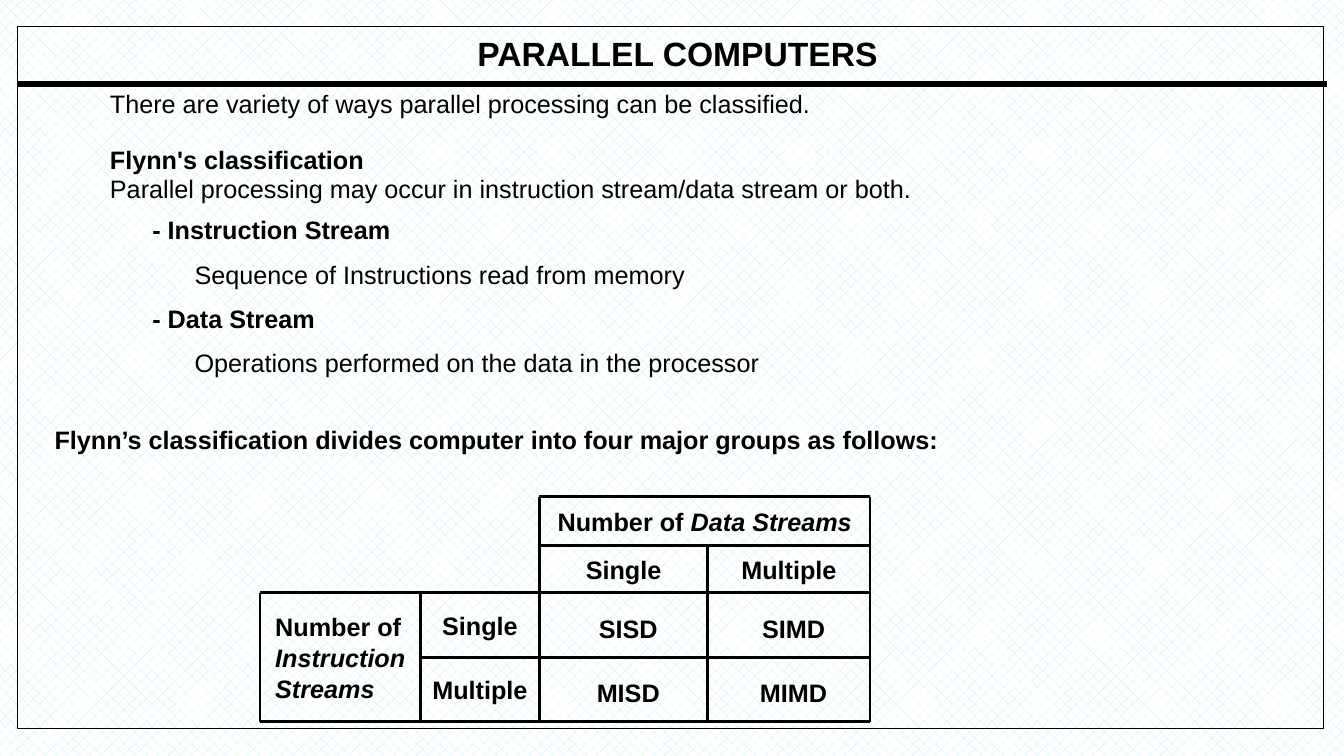
"""Builds the slide on Flynn's classification of parallel computers."""
from lxml import etree
from pptx import Presentation
from pptx import util as u
from pptx.dml.color import RGBColor
from pptx.enum import dml, shapes, text
from pptx.oxml import ns

COLORS = {"ink": "000000", "hatch": "C4EFFE", "paper": "FFFFFF"}
FONT = "Arial"


def write(paragraph, content, size=18, bold=True, italic=False):
    """Append a formatted run to a paragraph."""
    run = paragraph.add_run()
    run.text = content
    font = run.font
    font.name, font.size, font.bold, font.italic = FONT, u.Pt(size), bold, italic
    font.color.rgb = RGBColor.from_string(COLORS["ink"])


class Board:
    """Current slide with a grid of 100 columns by 100 rows."""

    def __init__(self, deck):
        self.width, self.height = deck.slide_width, deck.slide_height
        self.slide = deck.slides.add_slide(deck.slide_layouts[1])
        fill = self.slide.background.fill
        fill.patterned()
        fill.pattern = dml.MSO_PATTERN.PERCENT_25
        fill.fore_color.rgb = RGBColor.from_string(COLORS["hatch"])
        fill.back_color.rgb = RGBColor.from_string(COLORS["paper"])

    def x(self, columns):
        return round(self.width * columns / 100)

    def y(self, rows):
        return round(self.height * rows / 100)

    def place(self, holder, left, top, width, height):
        holder.left, holder.top = self.x(left), self.y(top)
        holder.width, holder.height = self.x(width), self.y(height)

    def prepare(self, frame, side, edge, anchor, wrap=True):
        frame.auto_size = text.MSO_AUTO_SIZE.NONE
        frame.word_wrap, frame.vertical_anchor = wrap, anchor
        frame.margin_left = frame.margin_right = u.Inches(side)
        frame.margin_top = frame.margin_bottom = u.Inches(edge)

    def frame(self, left, top, width, height):
        border = self.slide.shapes.add_shape(
            shapes.MSO_SHAPE.RECTANGLE,
            self.x(left), self.y(top), self.x(width), self.y(height))
        border.shadow.inherit = False
        border.fill.background()
        border.line.color.rgb = RGBColor.from_string(COLORS["ink"])
        border.line.width = u.Pt(0.5)

    def rule(self, x1, y1, x2, y2, weight=2):
        stroke = self.slide.shapes.add_connector(
            shapes.MSO_CONNECTOR.STRAIGHT,
            self.x(x1), self.y(y1), self.x(x2), self.y(y2))
        stroke.line.color.rgb = RGBColor.from_string(COLORS["ink"])
        stroke.line.width = u.Pt(weight)
        etree.SubElement(stroke.element.spPr, ns.qn("a:effectLst"))

    def title(self, content, *area):
        heading = self.slide.shapes.title
        self.place(heading, *area)
        self.prepare(heading.text_frame, 0.07, 0.03, text.MSO_ANCHOR.MIDDLE)
        line = heading.text_frame.paragraphs[0]
        line.alignment, line.line_spacing = text.PP_ALIGN.CENTER, 0.9
        write(line, content, size=24)

    def body(self, entries, *area):
        outline = self.slide.placeholders[1]
        self.place(outline, *area)
        frame = outline.text_frame
        self.prepare(frame, 0.1, 0.05, text.MSO_ANCHOR.TOP)
        for index, (content, bold, indent, spacing, before) in enumerate(entries):
            line = frame.add_paragraph() if index else frame.paragraphs[0]
            line.line_spacing, line.space_before = spacing, u.Pt(before)
            properties = line._p.get_or_add_pPr()
            properties.set("marL", str(u.Inches(indent)))
            properties.set("indent", "0")
            etree.SubElement(properties, ns.qn("a:buNone"))
            write(line, content, bold=bold)

    def label(self, lines, center, width, height=4.67, align=text.PP_ALIGN.CENTER):
        column, row = center
        box = self.slide.shapes.add_textbox(
            self.x(column - width / 2), self.y(row - height / 2),
            self.x(width), self.y(height))
        self.prepare(box.text_frame, 0.07, 0.03, text.MSO_ANCHOR.MIDDLE, wrap=False)
        for index, runs in enumerate(lines):
            line = box.text_frame.add_paragraph() if index else box.text_frame.paragraphs[0]
            line.alignment, line.line_spacing = align, 1.02
            for content, italic in runs:
                write(line, content, italic=italic)


def draw_matrix(board):
    """Draw the grid of instruction streams against data streams."""
    columns = [19.35, 31.28, 40.14, 52.66, 64.74]
    rows = [65.73, 72.13, 78.4, 86.93, 95.47]
    for row, first in enumerate([2, 2, 0, 1, 0]):
        board.rule(columns[first], rows[row], columns[-1], rows[row])
    for column, first in enumerate([2, 2, 0, 1, 0]):
        board.rule(columns[column], rows[first], columns[column], rows[-1])

    def center(left, top, right, bottom):
        return (columns[left] + columns[right]) / 2, (rows[top] + rows[bottom]) / 2

    board.label([[("Number of ", False), ("Data Streams", True)]],
                center(2, 0, 4, 1), 23.18)
    board.label([[("Number of", False)], [("Instruction", True)], [("Streams", True)]],
                center(0, 2, 1, 4), 10.73, 12.93, text.PP_ALIGN.LEFT)
    for step, (name, width) in enumerate([("Single", 6.75), ("Multiple", 8.18)]):
        board.label([[(name, False)]], center(2 + step, 1, 3 + step, 2), width)
        board.label([[(name, False)]], center(1, 2 + step, 2, 3 + step), width)
    for row, classes in enumerate([("SISD", "SIMD"), ("MISD", "MIMD")]):
        for column, name in enumerate(classes):
            middle, level = center(2 + column, 2 + row, 3 + column, 3 + row)
            board.label([[(name, False)]], (middle + 0.35, level + 0.4), 5.8)


def main():
    deck = Presentation()
    deck.slide_width, deck.slide_height = u.Inches(13.33), u.Inches(7.5)
    board = Board(deck)
    board.frame(1.28, 3.47, 97.22, 92.93)
    board.rule(1.28, 11.07, 98.72, 11.07, weight=4.5)
    board.title("PARALLEL COMPUTERS", 18.6, 4.53, 63.62, 5.6)
    board.body([
        ("There are variety of ways parallel processing can be classified.",
         False, 0.62, 0.5, 0),
        ("Flynn's classification", True, 0.62, 0.5, 29),
        ("Parallel processing may occur in instruction stream/data stream or both.",
         False, 0.62, 0.5, 9.6),
        ("- Instruction Stream", True, 1.04, 1.0, 9.6),
        ("Sequence of Instructions read from memory", False, 1.46, 1.0, 10),
        ("- Data Stream", True, 1.04, 1.0, 10),
        ("Operations performed on the data in the processor", False, 1.46, 1.0, 10),
        ("Flynn’s classification divides computer into four major groups as follows:",
         True, 0.07, u.Pt(24.6), 30.4),
    ], 2.78, 12.8, 93.02, 61.2)
    draw_matrix(board)
    deck.save("out.pptx")


if __name__ == "__main__":
    main()
